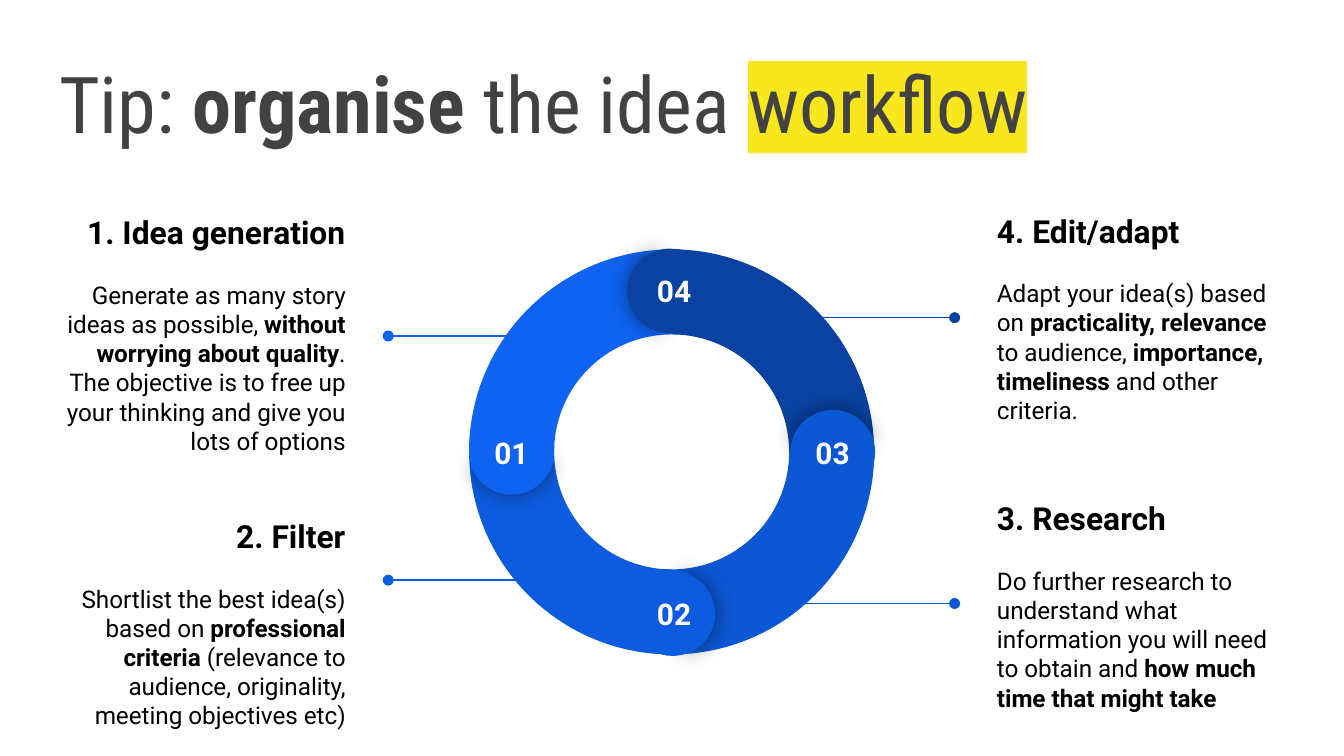
from lxml.etree import SubElement
from pptx import Presentation
from pptx.dml.color import RGBColor as RGB
from pptx.enum.shapes import MSO_CONNECTOR as LINE, MSO_SHAPE as SHAPE
from pptx.enum.text import MSO_ANCHOR as ANCHOR, MSO_AUTO_SIZE as AUTO, PP_ALIGN as ALIGN
from pptx.oxml import parse_xml
from pptx.oxml.ns import nsdecls, qn
from pptx.util import Pt

COLORS = {"one": "0E63F0", "two": "0D5CDF", "three": "0C57D3", "four": "0942A1",
          "title": "424242", "mark": "F8E71C", "text": "000000", "white": "FFFFFF"}


def write(shape, paras, font="Roboto", color="text", align=ALIGN.LEFT,
          anchor=ANCHOR.MIDDLE, gap=0):
    """Fill a shape with (text, size) paragraphs; *stars* mark bold, _bars_ highlight."""
    frame = shape.text_frame
    frame.word_wrap, frame.auto_size = True, AUTO.NONE
    frame.vertical_anchor = anchor
    frame.margin_left = frame.margin_right = Pt(7.2)
    frame.margin_top = frame.margin_bottom = Pt(7.2)
    for i, (text, size) in enumerate(paras):
        para = frame.add_paragraph() if i else frame.paragraphs[0]
        para.alignment = align
        para.space_before = Pt(gap if i else 0)
        for j, part in enumerate(text.split("*")):
            for k, piece in enumerate(part.split("_")):
                if not piece:
                    continue
                run = para.add_run()
                run.text = piece
                run.font.size, run.font.bold = Pt(size), j % 2 == 1
                run.font.color.rgb = RGB.from_string(COLORS[color])
                run.font.name = font
                if k % 2:
                    mark = parse_xml(f'<a:highlight {nsdecls("a")}>'
                                     f'<a:srgbClr val="{COLORS["mark"]}"/></a:highlight>')
                    run.font.fill  # the fill must come before the highlight
                    run.font._element.find(qn("a:latin")).addprevious(mark)


def draw(kind, x, y, size, turn, adjust, color):
    """Add a turned, filled round shape without outline."""
    shape = slide.shapes.add_shape(kind, Pt(x), Pt(y), Pt(size), Pt(size))
    shape.rotation = turn
    for i, value in enumerate(adjust):
        shape.adjustments[i] = value
    shape.fill.solid()
    shape.fill.fore_color.rgb = RGB.from_string(COLORS[color])
    shape.line.fill.background()
    shape.shadow.inherit = False
    return shape


deck = Presentation()
deck.slide_width, deck.slide_height = Pt(720), Pt(405)
slide = deck.slides.add_slide(deck.slide_layouts[5])

# Title
title = slide.shapes.title
title.left, title.top, title.width, title.height = Pt(24.5), Pt(29.5), Pt(671), Pt(57.6)
write(title, [("Tip: *organise* the idea _workflow_", 42)], font="Roboto Condensed",
      color="title", anchor=ANCHOR.BOTTOM)

# Ring
for color, turn in [("two", 240), ("one", 330), ("four", 60), ("three", 150)]:
    draw(SHAPE.BLOCK_ARC, 251.3, 133.6, 217, turn, (126.2, 181.8, 0.21), color)

# Round ends with numbers: a shadowed half, then a plain half over it
ends = [("03", "three", 423.4, 219.6, 90, 426.2), ("02", "two", 337.7, 306, 180, 341.3),
        ("01", "one", 251.3, 219.6, 270, 254.2), ("04", "four", 336.2, 133.2, 0, 341.3)]
for label, color, x, y, turn, left in ends:
    half = draw(SHAPE.PIE, x, y, 45.4, turn + 0.7, (61.9, 149.96), color)
    glow = SubElement(half._element.spPr.find(qn("a:effectLst")), qn("a:outerShdw"),
                      blurRad=str(Pt(11.2)), dist="0", algn="ctr", rotWithShape="0")
    tint = SubElement(glow, qn("a:srgbClr"), val=COLORS["text"])
    SubElement(tint, qn("a:alpha"), val="43000")
    draw(SHAPE.PIE, x, y, 45.4, (turn + 180) % 360, (40.28, 171.84), color)
    box = slide.shapes.add_textbox(Pt(left), Pt(y + 5.8), Pt(39.6), Pt(20.9))
    write(box, [(f"*{label}*", 16)], color="white", align=ALIGN.CENTER, anchor=ANCHOR.TOP)

# Steps: text at the side, pointer from the ring
steps = [
    ("1. Idea generation", "Generate as many story ideas as possible, *without worrying about "
     "quality*. The objective is to free up your thinking and give you lots of options",
     "one", 25.2, 128.2, 290.2, 208, 180),
    ("2. Filter", "Shortlist the best idea(s) based on *professional criteria* (relevance to "
     "audience, originality, meeting objectives etc)",
     "two", 25.2, 283, 311, 208, 310.8),
    ("4. Edit/adapt", "Adapt your idea(s) based on *practicality, relevance* to audience, "
     "*importance, timeliness* and other criteria.",
     "four", 527, 119.5, 410.4, 511.4, 170.2),
    ("3. Research", "Do further research to understand what information you will need to "
     "obtain and *how much time that might take*",
     "three", 527, 273.6, 410.4, 511.4, 323.3),
]
for head, body, color, x, y, start, end, level in steps:
    box = slide.shapes.add_textbox(Pt(x), Pt(y), Pt(167), Pt(101.5))
    write(box, [(f"*{head}*", 17), (body, 13)], gap=15.6,
          align=ALIGN.RIGHT if x < 360 else ALIGN.LEFT)
    line = slide.shapes.add_connector(LINE.STRAIGHT, Pt(start), Pt(level), Pt(end), Pt(level))
    line.line.color.rgb = RGB.from_string(COLORS[color])
    line.line.width = Pt(0.75)
    SubElement(line.line._get_or_add_ln(), qn("a:tailEnd"), type="oval")
    SubElement(line._element.spPr, qn("a:effectLst"))

deck.save("out.pptx")
